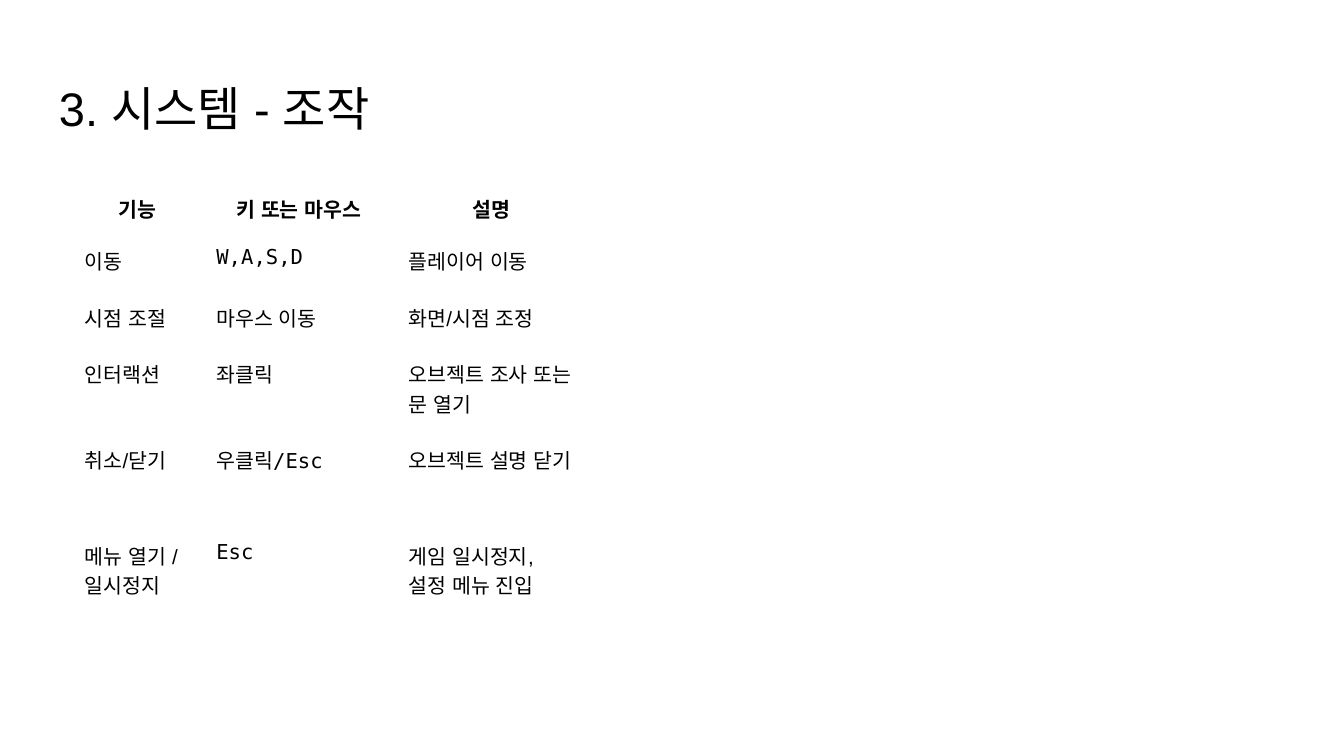
from pptx import Presentation
from pptx.dml.color import RGBColor
from pptx.enum.lang import MSO_LANGUAGE_ID
from pptx.enum.text import MSO_ANCHOR, PP_ALIGN
from pptx.util import Inches, Pt

COLORS = {"text": "000000"}
SANS, MONO = "Arial", "DejaVu Sans Mono"
MARGINS = {f"margin_{side}": Inches(0.1) for side in ("left", "right", "top", "bottom")}


def set_attrs(obj, values):
    for name, value in values.items():
        setattr(obj, name, value)


def add_text(p, text, **font):
    r = p.add_run()
    r.text = text
    set_attrs(r.font, {"language_id": MSO_LANGUAGE_ID.KOREAN, **font})
    r.font.color.rgb = RGBColor.from_string(COLORS["text"])


prs = Presentation()
prs.slide_width, prs.slide_height = Inches(10), Inches(10 * 9 / 16)
s = prs.slides.add_slide(prs.slide_layouts[6])

title = s.shapes.add_textbox(Inches(0.34), Inches(0.49), Inches(9.32), Inches(0.63))
tf = title.text_frame
set_attrs(tf, {**MARGINS, "word_wrap": True, "vertical_anchor": MSO_ANCHOR.MIDDLE})
add_text(tf.paragraphs[0], "3. 시스템 - 조작", name=SANS, size=Pt(25.2))

rows = [
    ("기능", "키 또는 마우스", "설명"),
    ("이동", "W,A,S,D", "플레이어 이동"),
    ("시점 조절", "마우스 이동", "화면/시점 조정"),
    ("인터랙션", "좌클릭", "오브젝트 조사 또는 문 열기"),
    ("취소/닫기", "우클릭/Esc", "오브젝트 설명 닫기"),
    ("메뉴 열기 / 일시정지", "Esc", "게임 일시정지, 설정 메뉴 진입"),
]
mono_keys = {"W,A,S,D", "좌클릭", "우클릭/Esc", "Esc"}
widths = [0.98, 1.43, 1.43]
heights = [0.42, 0.42, 0.42, 0.64, 0.71, 0.64]

table = s.shapes.add_table(
    len(rows), len(widths), Inches(0.53), Inches(1.31),
    Inches(sum(widths)), Inches(sum(heights)),
).table
set_attrs(table, {"first_row": False, "horz_banding": False})
for column, width in zip(table.columns, widths):
    column.width = Inches(width)

for i, (row, height) in enumerate(zip(rows, heights)):
    table.rows[i].height = Inches(height)
    for j, text in enumerate(row):
        cell = table.cell(i, j)
        cell.fill.background()
        set_attrs(cell, {**MARGINS, "vertical_anchor": MSO_ANCHOR.TOP})
        p = cell.text_frame.paragraphs[0]
        if i == 0:
            set_attrs(p, {"alignment": PP_ALIGN.CENTER, "line_spacing": 1.15})
        name = MONO if text in mono_keys else SANS
        add_text(p, text, name=name, size=Pt(11), bold=i == 0)

prs.save("out.pptx")
